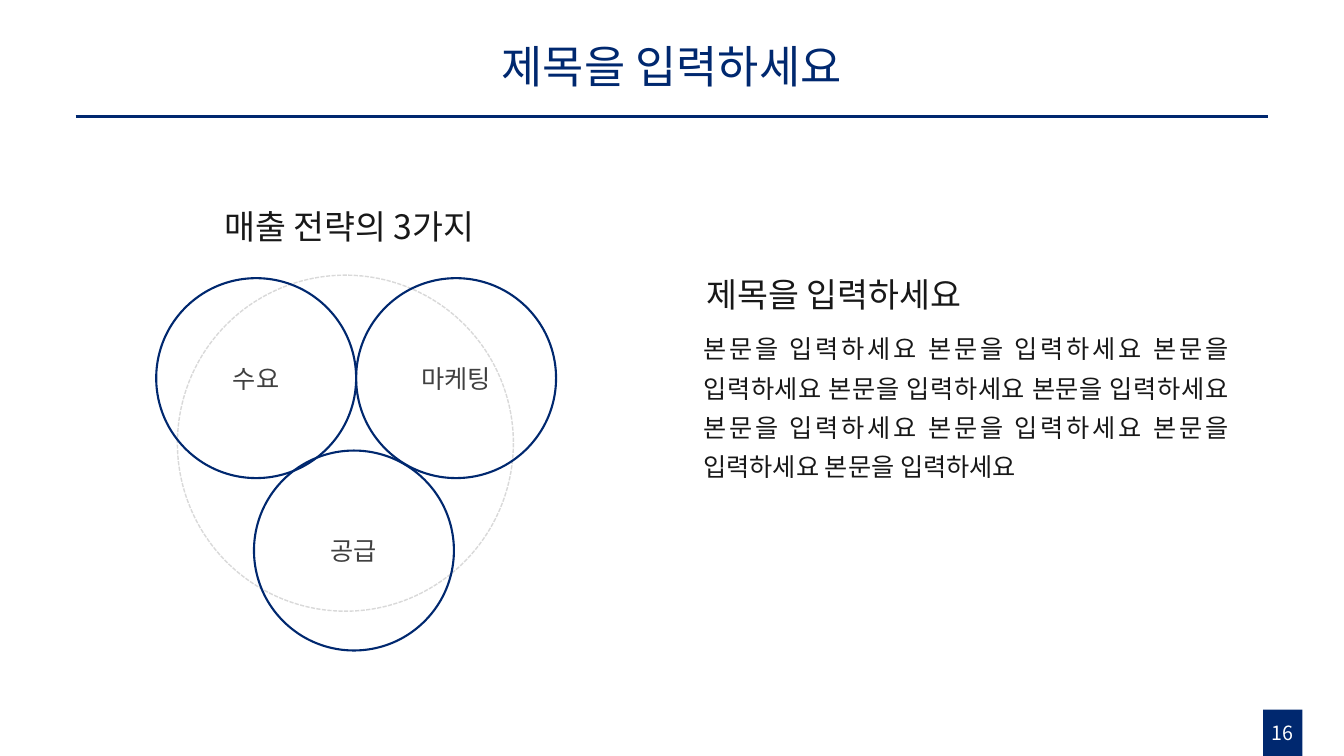
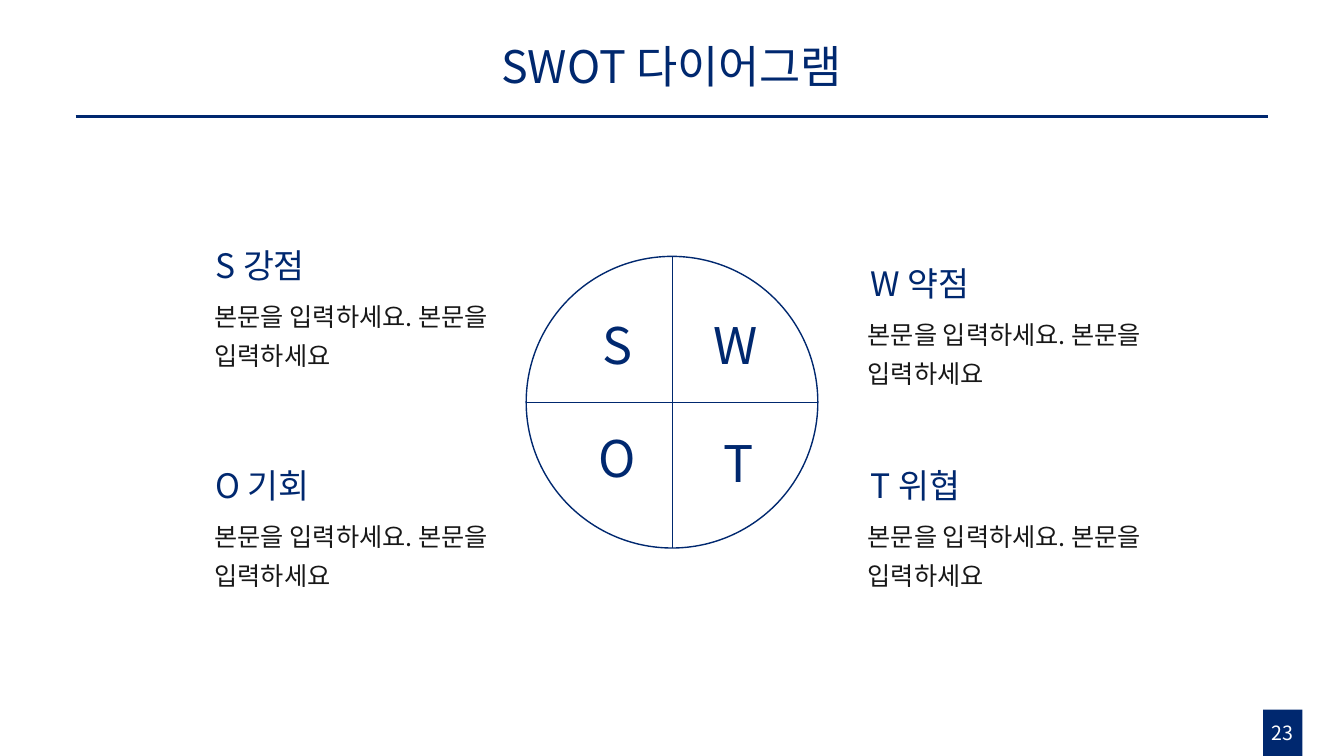
from dataclasses import dataclass
from typing import NamedTuple

from lxml.etree import SubElement
from pptx import Presentation
from pptx.dml.color import RGBColor
from pptx.enum.dml import MSO_LINE
from pptx.enum.shapes import MSO_CONNECTOR, MSO_SHAPE
from pptx.enum.text import MSO_ANCHOR, MSO_AUTO_SIZE, PP_ALIGN
from pptx.oxml.ns import qn
from pptx.util import Inches, Length, Pt

NAVY = RGBColor(0x00, 0x28, 0x6F)
INK = RGBColor(0x18, 0x18, 0x18)
GRAY = RGBColor(0x40, 0x40, 0x40)
PALE = RGBColor(0xD9, 0xD9, 0xD9)
WHITE = RGBColor(0xFF, 0xFF, 0xFF)
FONT = "Noto Sans CJK KR"

# The slide is a grid of 40 columns by 22.5 rows of square cells.
COLS, ROWS = 40, 22.5
CELL = Inches(1) / 3


class Box(NamedTuple):
    """Left, top, width and height in grid cells."""
    x: float
    y: float
    w: float
    h: float

    def emu(self) -> list[Length]:
        return [cells(v) for v in self]


@dataclass(frozen=True)
class Style:
    size: float
    color: RGBColor
    align: PP_ALIGN = PP_ALIGN.LEFT
    anchor: MSO_ANCHOR = MSO_ANCHOR.TOP
    spacing: float = 1.0
    after: float = 0
    indent: float = 0
    grow: bool = True


@dataclass(frozen=True)
class Topic:
    """One SWOT quarter: its letter, name and positions."""
    letter: str
    name: str
    x: float
    y: float
    body_dx: float
    letter_x: float
    letter_y: float


TITLE = Style(32, NAVY, PP_ALIGN.CENTER, MSO_ANCHOR.MIDDLE, 0.9, grow=False)
PAGE = Style(14, WHITE, PP_ALIGN.CENTER)
HEADING = Style(24, INK, anchor=MSO_ANCHOR.MIDDLE, spacing=1.3)
CAPTION = Style(24, INK, PP_ALIGN.CENTER, MSO_ANCHOR.MIDDLE, 1.3)
BODY = Style(18, INK, PP_ALIGN.JUSTIFY, spacing=1.3)
CIRCLE_LABEL = Style(18, GRAY, PP_ALIGN.CENTER, MSO_ANCHOR.MIDDLE, grow=False)
TOPIC_HEADING = Style(24, NAVY, anchor=MSO_ANCHOR.MIDDLE, spacing=1.3)
TOPIC_BODY = Style(18, INK, spacing=1.3, after=6, indent=0.27)
LETTER = Style(36, NAVY, PP_ALIGN.CENTER)

TOPICS = [
    Topic("S", "강점", 6.12, 6.81, -0.3, 16.77, 9.21),
    Topic("W", "약점", 25.62, 7.35, -0.36, 20.28, 9.21),
    Topic("O", "기회", 6.12, 13.35, -0.3, 16.77, 12.57),
    Topic("T", "위협", 25.62, 13.35, -0.36, 20.37, 12.72),
]


def cells(n: float) -> Length:
    return Length(round(n * CELL))


def write(shape, text: str, style: Style) -> None:
    tf = shape.text_frame
    tf.word_wrap = True
    tf.vertical_anchor = style.anchor
    tf.auto_size = MSO_AUTO_SIZE.SHAPE_TO_FIT_TEXT if style.grow else MSO_AUTO_SIZE.NONE
    p = tf.paragraphs[0]
    p.text = text
    p.alignment = style.align
    p.line_spacing = style.spacing
    p.space_after = Pt(style.after)
    if style.indent:
        pPr = p._p.get_or_add_pPr()
        pPr.set("marL", str(cells(style.indent)))
        pPr.set("indent", "0")
    font = p.font
    font.size = Pt(style.size)
    font.color.rgb = style.color
    font.name = FONT
    SubElement(font._element, qn("a:ea")).set("typeface", FONT)


def add_text(s, box: Box, text: str, style: Style) -> None:
    write(s.shapes.add_textbox(*box.emu()), text, style)


def add_circle(s, x: float, y: float, diameter: float, color: RGBColor, width: float):
    """Draw an unfilled circle from its top left corner."""
    sp = s.shapes.add_shape(MSO_SHAPE.OVAL, *Box(x, y, diameter, diameter).emu())
    sp.shadow.inherit = False
    sp.fill.background()
    sp.line.color.rgb = color
    sp.line.width = Pt(width)
    return sp


def add_line(s, x1: float, y1: float, x2: float, y2: float, width: float) -> None:
    ends = [cells(v) for v in (x1, y1, x2, y2)]
    line = s.shapes.add_connector(MSO_CONNECTOR.STRAIGHT, *ends)
    line.line.color.rgb = NAVY
    line.line.width = Pt(width)
    SubElement(line._element.spPr, qn("a:effectLst"))


def add_slide(prs, title: str, page: int):
    """Add a blank slide with the shared title, rule and page number."""
    s = prs.slides.add_slide(prs.slide_layouts[6])
    add_line(s, 2.25, 3.48, 37.74, 3.48, 2.25)
    tab = s.shapes.add_shape(MSO_SHAPE.RECTANGLE, *Box(37.59, 21.12, 1.17, 1.38).emu())
    tab.shadow.inherit = False
    tab.fill.solid()
    tab.fill.fore_color.rgb = NAVY
    tab.line.fill.background()
    add_text(s, Box(37.17, 21.3, 2.01, 1.02), str(page), PAGE)
    add_text(s, Box(8.16, 0.9, 23.67, 2.28), title, TITLE)
    return s


def build_strategy(prs) -> None:
    s = add_slide(prs, "제목을 입력하세요", 16)
    add_circle(s, 5.28, 8.19, 10, PALE, 1).line.dash_style = MSO_LINE.SQUARE_DOT
    diameter, left, top = 5.95, 4.65, 8.28
    for label, x, y in [
        ("수요", left, top),
        ("마케팅", left + diameter, top),
        ("공급", 7.56, 13.41),
    ]:
        write(add_circle(s, x, y, diameter, NAVY, 1.5), label, CIRCLE_LABEL)
    add_text(s, Box(5.91, 5.64, 8.97, 1.8), "매출 전략의 3가지", CAPTION)
    add_text(s, Box(20.64, 9.51, 16.23, 4.95), " ".join(["본문을 입력하세요"] * 9), BODY)
    add_text(s, Box(20.73, 7.68, 11.1, 1.8), "제목을 입력하세요", HEADING)


def build_swot(prs) -> None:
    s = add_slide(prs, "SWOT 다이어그램", 23)
    cx, cy, radius = COLS / 2, 11.97, 4.34
    add_circle(s, cx - radius, cy - radius, 2 * radius, NAVY, 1)
    add_line(s, cx - radius, cy, cx + radius, cy, 0.5)
    add_line(s, cx, cy - radius, cx, cy + radius, 0.5)
    for t in TOPICS:
        add_text(s, Box(t.x, t.y, 9.9, 1.8), f"{t.letter} {t.name}", TOPIC_HEADING)
        add_text(s, Box(t.x + t.body_dx, t.y + 1.74, 10.02, 2.61),
                 "본문을 입력하세요. 본문을 입력하세요", TOPIC_BODY)
        add_text(s, Box(t.letter_x, t.letter_y, 3.21, 2.13), t.letter, LETTER)


def main() -> None:
    prs = Presentation()
    prs.slide_width, prs.slide_height = cells(COLS), cells(ROWS)
    build_strategy(prs)
    build_swot(prs)
    prs.save("out.pptx")


if __name__ == "__main__":
    main()
